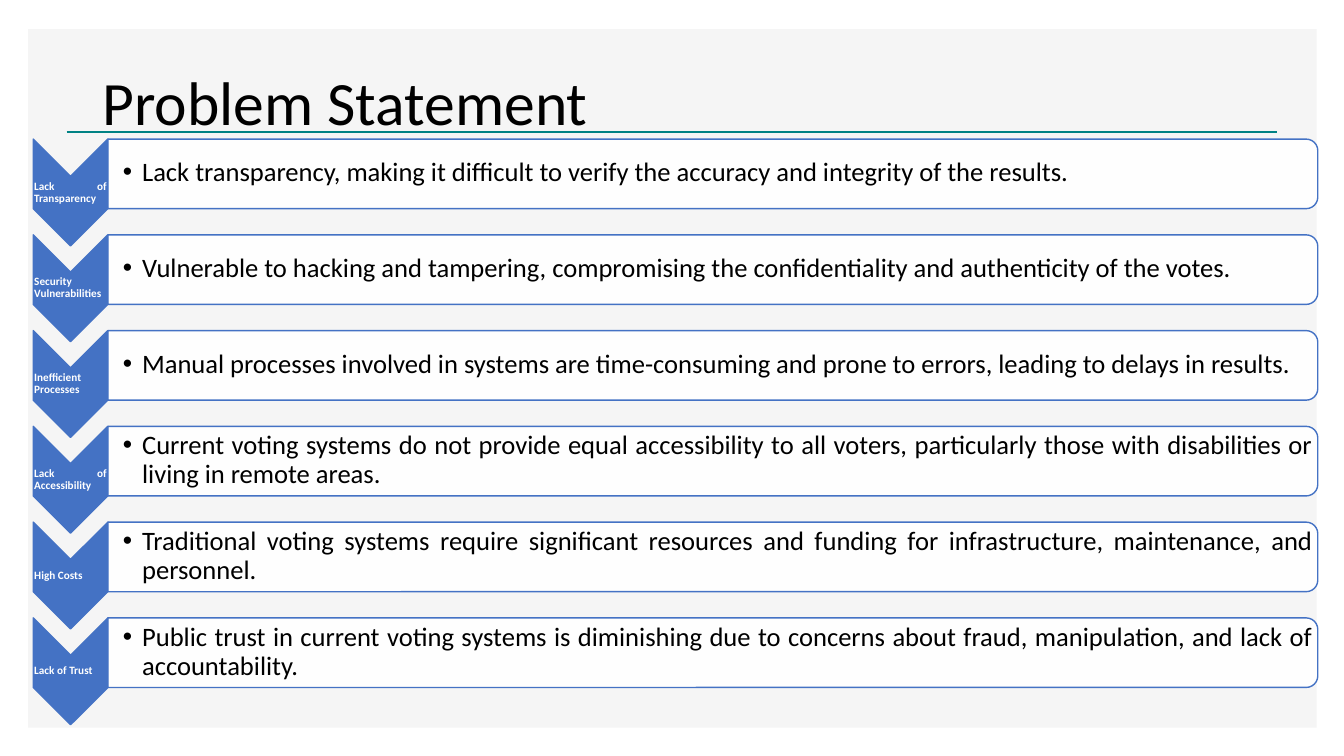
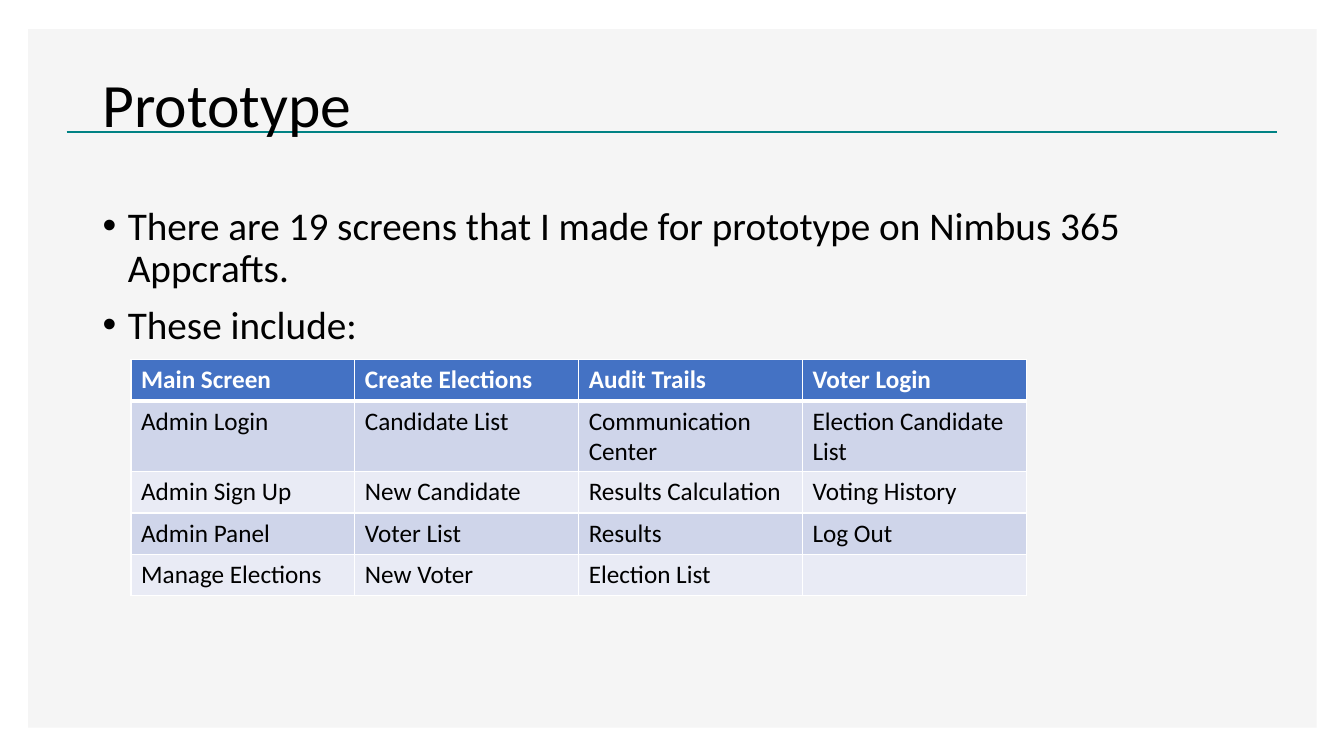
from lxml import etree
from pptx import Presentation
from pptx.dml.color import RGBColor
from pptx.enum.shapes import MSO_CONNECTOR, MSO_SHAPE
from pptx.enum.text import MSO_ANCHOR, PP_ALIGN
from pptx.oxml.ns import qn
from pptx.util import Inches, Pt

RECTANGLE = MSO_SHAPE.RECTANGLE
CHEVRON = MSO_SHAPE.CHEVRON
ROUND_TOP = MSO_SHAPE.ROUND_2_SAME_RECTANGLE
STRAIGHT = MSO_CONNECTOR.STRAIGHT
TOP = MSO_ANCHOR.TOP
MIDDLE = MSO_ANCHOR.MIDDLE
LEFT = PP_ALIGN.LEFT
JUSTIFY = PP_ALIGN.JUSTIFY

FONT = "Calibri"
BLACK = RGBColor(0x00, 0x00, 0x00)
WHITE = RGBColor(0xFF, 0xFF, 0xFF)
PANEL_GREY = RGBColor(0xF5, 0xF5, 0xF5)
TEAL = RGBColor(0x00, 0x82, 0x84)
BLUE = RGBColor(0x44, 0x72, 0xC4)
BAND_DARK = RGBColor(0xCF, 0xD5, 0xEA)
BAND_LIGHT = RGBColor(0xE9, 0xEB, 0xF5)

DEFAULT_INSETS = (0.1, 0.05, 0.1, 0.05)
LABEL_INSETS = (0.01, 0.01, 0.01, 0.01)
DETAIL_INSETS = (0.15, 0.01, 0.01, 0.01)

PROBLEMS = [
    ("Lack of Transparency",
     "Lack transparency, making it difficult to verify the accuracy and integrity of the results."),
    ("Security Vulnerabilities",
     "Vulnerable to hacking and tampering, compromising the confidentiality and authenticity of the votes."),
    ("Inefficient Processes",
     "Manual processes involved in systems are time-consuming and prone to errors, leading to delays in results."),
    ("Lack of Accessibility",
     "Current voting systems do not provide equal accessibility to all voters, particularly those with "
     "disabilities or living in remote areas."),
    ("High Costs",
     "Traditional voting systems require significant resources and funding for infrastructure, "
     "maintenance, and personnel."),
    ("Lack of Trust",
     "Public trust in current voting systems is diminishing due to concerns about fraud, manipulation, "
     "and lack of accountability."),
]

PROTOTYPE_POINTS = [
    "There are 19 screens that I made for prototype on Nimbus 365 Appcrafts.",
    "These include:",
]

SCREENS = [
    ("Main Screen", "Create Elections", "Audit Trails", "Voter Login"),
    ("Admin Login", "Candidate List", "Communication Center", "Election Candidate List"),
    ("Admin Sign Up", "New Candidate", "Results Calculation", "Voting History"),
    ("Admin Panel", "Voter List", "Results", "Log Out"),
    ("Manage Elections", "New Voter", "Election List", ""),
]


def add_span(para, text, size, color=BLACK, bold=False):
    span = para.add_run()
    span.text = text
    span.font.name = FONT
    span.font.size = Pt(size)
    span.font.bold = bold
    span.font.color.rgb = color


def add_bullet(para, indent):
    properties = para._p.get_or_add_pPr()
    properties.set("marL", str(Inches(indent)))
    properties.set("indent", str(Inches(-indent)))
    etree.SubElement(properties, qn("a:buFont"), typeface="Arial")
    etree.SubElement(properties, qn("a:buChar"), char="•")


def add_text(slide, place, texts, size, color=BLACK, bold=False, anchor=MIDDLE,
             align=LEFT, insets=DEFAULT_INSETS, indent=0, gap=0):
    box = slide.shapes.add_textbox(*map(Inches, place))
    frame = box.text_frame
    frame.word_wrap = True
    frame.vertical_anchor = anchor
    (frame.margin_left, frame.margin_top,
     frame.margin_right, frame.margin_bottom) = map(Inches, insets)
    for index, text in enumerate(texts):
        para = frame.add_paragraph() if index else frame.paragraphs[0]
        if indent:
            add_bullet(para, indent)
        para.alignment = align
        para.line_spacing = 0.9
        if index:
            para.space_before = Pt(gap)
        add_span(para, text, size, color, bold)


def add_block(slide, kind, place, fill, line=None):
    block = slide.shapes.add_shape(kind, *map(Inches, place))
    block.shadow.inherit = False
    block.fill.solid()
    block.fill.fore_color.rgb = fill
    if line is None:
        block.line.fill.background()
    else:
        block.line.color.rgb = line
        block.line.width = Pt(1)
    return block


def add_turned_block(slide, kind, place, fill):
    left, top, width, height = place
    shift = (width - height) / 2
    block = add_block(slide, kind, (left + shift, top - shift, height, width), fill, BLUE)
    block.rotation = 90
    return block


def set_opacity(block, percent):
    color = block.fill._xPr.find(qn("a:solidFill"))[0]
    etree.SubElement(color, qn("a:alpha"), val=str(percent * 1000))


def add_page(deck, title, title_top):
    page = deck.slides.add_slide(deck.slide_layouts[6])
    add_block(page, RECTANGLE, (0.28, 0.29, 12.78, 6.93), PANEL_GREY)
    rule = page.shapes.add_connector(
        STRAIGHT, Inches(0.66), Inches(1.31), Inches(12.67), Inches(1.31))
    rule.line.color.rgb = TEAL
    rule.line.width = Pt(2)
    etree.SubElement(rule._element.spPr, qn("a:effectLst"))
    add_text(page, (0.92, title_top, 11.5, 1.45), [title], 44)
    return page


def add_problem_list(page):
    first_top, pitch = 1.38, 0.95
    for index, (label, detail) in enumerate(PROBLEMS):
        top = first_top + index * pitch
        add_turned_block(page, CHEVRON, (0.33, top, 0.74, 1.06), BLUE)
        add_text(page, (0.33, top + 0.37, 0.74, 0.32), [label], 8, WHITE, True,
                 align=JUSTIFY, insets=LABEL_INSETS)
        card = add_turned_block(page, ROUND_TOP, (1.07, top, 12, 0.69), WHITE)
        set_opacity(card, 90)
        add_text(page, (1.07, top + 0.03, 11.96, 0.62), [detail], 19,
                 align=JUSTIFY, insets=DETAIL_INSETS, indent=0.19)


def set_borders(cell, top_width, bottom_width):
    properties = cell._tc.get_or_add_tcPr()
    widths = {"lnL": 1, "lnR": 1, "lnT": top_width, "lnB": bottom_width}
    for side, width in widths.items():
        border = etree.SubElement(properties, qn("a:" + side), w=str(Pt(width)))
        fill = etree.SubElement(border, qn("a:solidFill"))
        etree.SubElement(fill, qn("a:srgbClr"), val=str(WHITE))


def add_screen_table(page):
    column_width, row_height = 2.22, 0.41
    row_count, column_count = len(SCREENS), len(SCREENS[0])
    table = page.shapes.add_table(
        row_count, column_count, Inches(1.3), Inches(3.57),
        Inches(column_width * column_count), Inches(row_height * row_count)).table
    table.horz_banding = False
    for row, names in enumerate(SCREENS):
        header = row == 0
        band = BLUE if header else BAND_DARK if row % 2 else BAND_LIGHT
        for column, name in enumerate(names):
            cell = table.cell(row, column)
            set_borders(cell, 3 if row == 1 else 1, 3 if header else 1)
            cell.fill.solid()
            cell.fill.fore_color.rgb = band
            if name:
                add_span(cell.text_frame.paragraphs[0], name, 18,
                         WHITE if header else BLACK, header)


def main():
    deck = Presentation()
    deck.slide_width = Inches(13.33)
    deck.slide_height = Inches(7.5)

    add_problem_list(add_page(deck, "Problem Statement", 0.32))

    prototype_page = add_page(deck, "Prototype", 0.34)
    add_text(prototype_page, (0.92, 2, 11.5, 4.76), PROTOTYPE_POINTS, 28,
             anchor=TOP, indent=0.25, gap=10)
    add_screen_table(prototype_page)

    deck.save("out.pptx")


if __name__ == "__main__":
    main()
